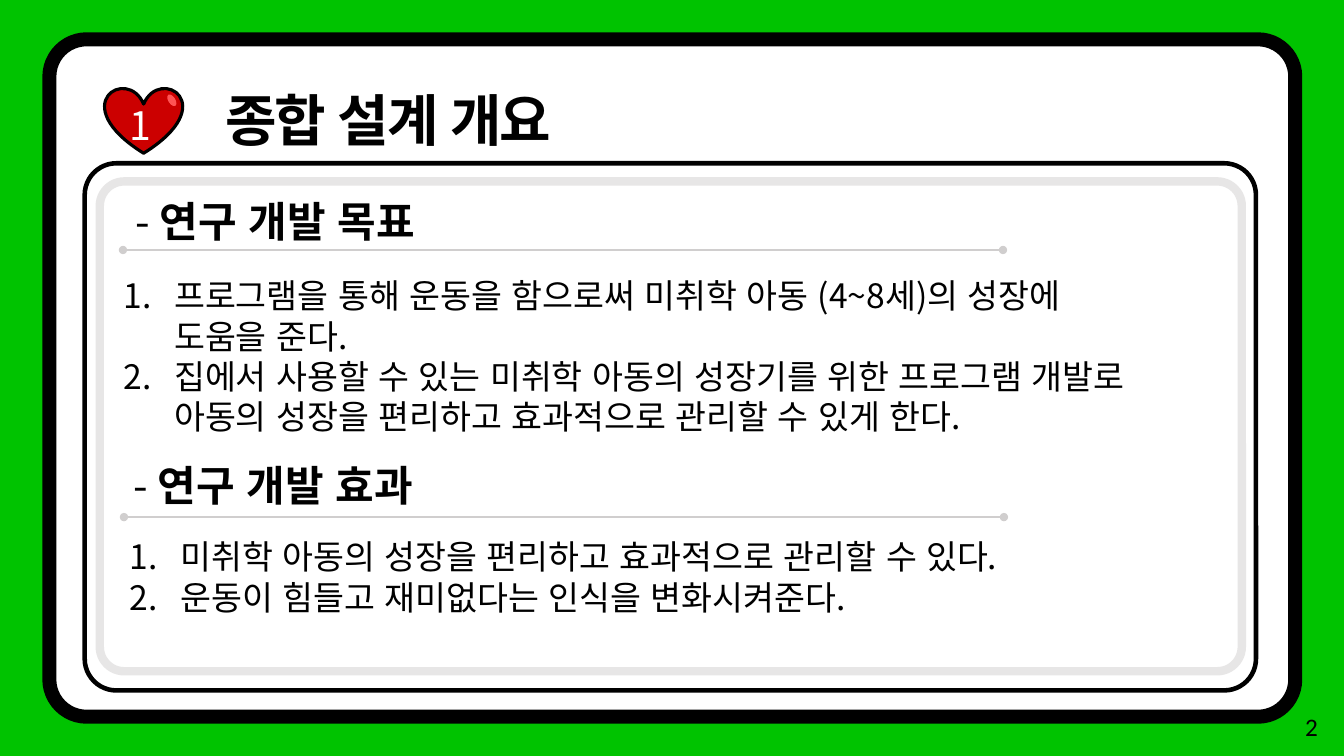
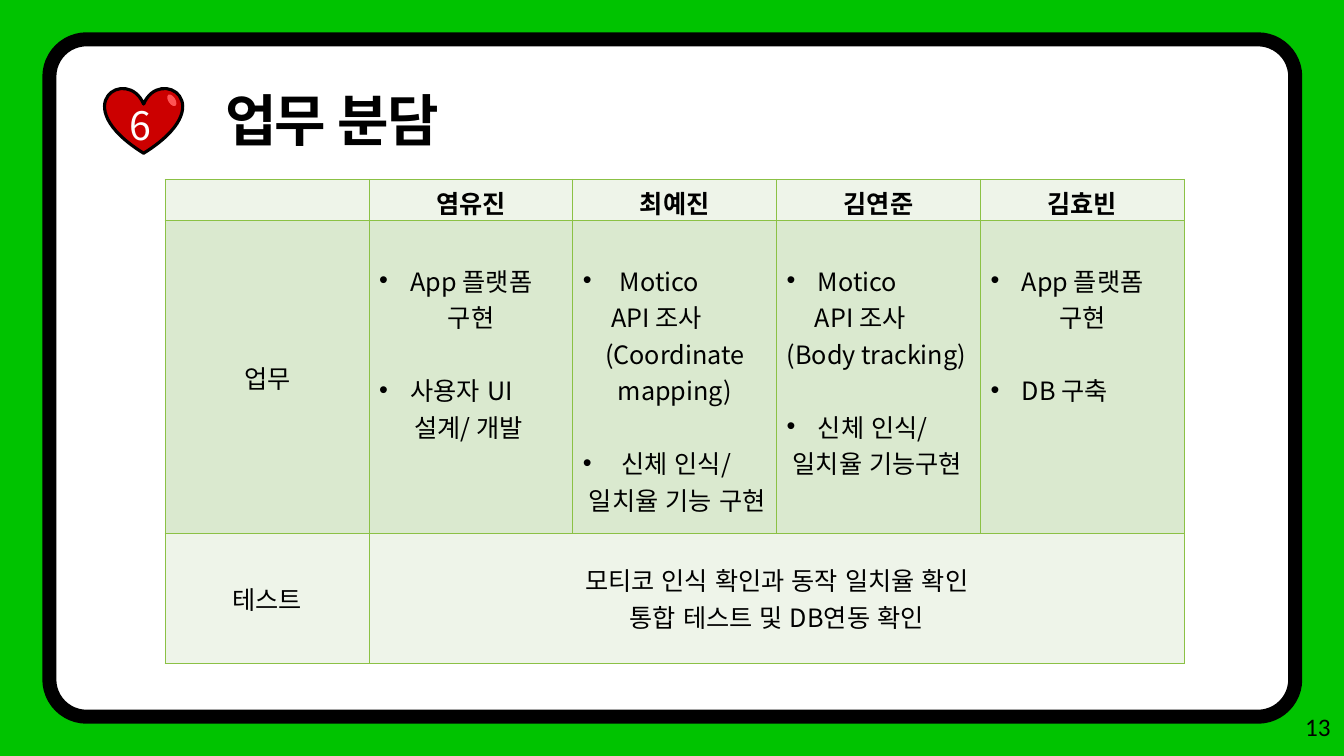
from pptx import Presentation
from pptx.dml.color import RGBColor
from pptx.enum.lang import MSO_LANGUAGE_ID as LANG
from pptx.enum.shapes import MSO_CONNECTOR as CONN, MSO_SHAPE as SHAPE
from pptx.enum.text import MSO_ANCHOR as ANCHOR, PP_ALIGN as ALIGN
from pptx.oxml.ns import qn
from pptx.util import Inches, Pt
from lxml.etree import SubElement

COLORS = {
    "green": "00C300", "white": "FFFFFF", "black": "000000",
    "gray": "E7E6E6", "rule": "D0CECE",
    "heart": "CC0000", "shine": "FF5454",
    "cell": "EEF4E9", "cell_dark": "DAE9CF", "border": "8BC145",
}
FONT = "Noto Sans CJK KR"
HANG = 0.31
GAP = 26  # one table line, in points

GOALS = [
    "프로그램을 통해 운동을 함으로써 미취학 아동 (4~8세)의 성장에\n도움을 준다.",
    "집에서 사용할 수 있는 미취학 아동의 성장기를 위한 프로그램 개발로\n"
    "아동의 성장을 편리하고 효과적으로 관리할 수 있게 한다.",
]
EFFECTS = [
    "미취학 아동의 성장을 편리하고 효과적으로 관리할 수 있다.",
    "운동이 힘들고 재미없다는 인식을 변화시켜준다.",
]
BULLET = dict(bullet="•", indent=HANG)
NEXT_BULLET = dict(BULLET, before=GAP)
CENTER = dict(align=ALIGN.CENTER)
DUTIES = {
    "염유진": [("App 플랫폼", BULLET), ("구현", CENTER),
            ("사용자 UI", NEXT_BULLET), ("설계/ 개발", dict(indent=0.35))],
    "최예진": [(" Motico", BULLET), ("API 조사", dict(indent=0.28)),
            ("(Coordinate mapping)", CENTER),
            (" 신체 인식/", NEXT_BULLET), ("일치율 기능 구현", dict(indent=0.06))],
    "김연준": [("Motico", BULLET), ("API 조사", dict(indent=0.28)),
            ("(Body tracking)", {}),
            ("신체 인식/", NEXT_BULLET), ("일치율 기능구현", dict(indent=0.06))],
    "김효빈": [("App 플랫폼", BULLET), ("구현", CENTER), ("DB 구축", NEXT_BULLET)],
}
TESTS = ["모티코 인식 확인과 동작 일치율 확인", "통합 테스트 및 DB연동 확인"]


def rgb(name):
    return RGBColor.from_string(COLORS[name])


def box(*lengths):
    return [Inches(v) for v in lengths]


def add_run(p, text, size=18, color="black", bold=False, font=FONT, spacing=0):
    """Add text to a paragraph; a newline becomes a line break."""
    for i, line in enumerate(text.split("\n")):
        if i:
            p.add_line_break()
        r = p.add_run()
        r.text = line
        r.font.size = Pt(size)
        r.font.bold = bold
        r.font.color.rgb = rgb(color)
        r.font.name = font
        r.font.language_id = LANG.KOREAN
        rPr = r.font._element
        SubElement(rPr, qn("a:ea"), typeface=font)
        if spacing:
            rPr.set("spc", str(int(spacing * 100)))


def add_paragraph(tf, text, align=None, bullet=None, number=False, indent=0,
                  before=0, **style):
    """Fill the frame's first paragraph if it is free, otherwise add one."""
    first = tf.paragraphs[0]
    p = tf.add_paragraph() if first.runs else first
    p.alignment = align
    if before:
        p.space_before = Pt(before)
    pPr = p._p.get_or_add_pPr()
    if indent:
        pPr.set("marL", str(Inches(indent)))
    if bullet or number:
        pPr.set("indent", str(-Inches(indent)))
    if bullet:
        SubElement(pPr, qn("a:buFont"), typeface="Arial")
        SubElement(pPr, qn("a:buChar"), char=bullet)
    elif number:
        SubElement(pPr, qn("a:buAutoNum"), type="arabicPeriod")
    add_run(p, text, **style)
    return p


def add_text_frame(shapes, at):
    tf = shapes.add_textbox(*box(*at)).text_frame
    tf.word_wrap = True
    return tf


def add_text(shapes, at, text, **style):
    return add_paragraph(add_text_frame(shapes, at), text, **style)


def add_shape(shapes, kind, at, fill=None, line=None, width=1, radius=None):
    sp = shapes.add_shape(kind, *box(*at))
    sp.shadow.inherit = False
    if fill:
        sp.fill.solid()
        sp.fill.fore_color.rgb = rgb(fill)
    else:
        sp.fill.background()
    if line:
        sp.line.color.rgb = rgb(line)
        sp.line.width = Pt(width)
    else:
        sp.line.fill.background()
    if radius is not None:
        sp.adjustments[0] = radius
    return sp


def add_heart(s, number):
    shapes = s.shapes.add_group_shape().shapes
    add_shape(shapes, SHAPE.HEART, (1.04, 0.87, 0.77, 0.65), "heart", "black", 2.25)
    add_text(shapes, (1.19, 0.96, 0.42, 0.57), number, size=28, color="white",
             spacing=-1.5)
    shine = add_shape(shapes, SHAPE.OVAL, (1.67, 0.93, 0.07, 0.13), "shine")
    shine.rotation = 327.4


def add_slide(prs, number, title, page):
    """Add a slide with the card, numbered heart, title and page number."""
    s = prs.slides.add_slide(prs.slide_layouts[6])
    s.background.fill.solid()
    s.background.fill.fore_color.rgb = rgb("green")
    add_shape(s.shapes, SHAPE.ROUNDED_RECTANGLE, (0.49, 0.39, 12.36, 6.72),
              "white", "black", 10, 0.055)
    add_heart(s, number)
    add_text(s.shapes, (2.14, 0.8, 6.16, 0.77), title, size=40, bold=True,
             spacing=-1.5)
    add_text(s.shapes, (12.85, 7.01, 0.49, 0.4), page, font="Calibri")
    return s


def add_content_frame(s):
    shapes = s.shapes.add_group_shape().shapes
    add_shape(shapes, SHAPE.ROUNDED_RECTANGLE, (0.84, 1.62, 11.62, 5.23),
              "white", "black", 3.25, 0.06)
    add_shape(shapes, SHAPE.ROUNDED_RECTANGLE, (0.99, 1.8, 11.33, 4.86),
              None, "gray", 6, 0.05)


def add_rule(s, x, y, length):
    c = s.shapes.add_connector(CONN.STRAIGHT, *box(x, y, x + length, y))
    c.line.color.rgb = rgb("rule")
    c.line.width = Pt(1.25)
    ln = c.line._get_or_add_ln()
    for end in ("a:headEnd", "a:tailEnd"):
        SubElement(ln, qn(end), type="oval")
    SubElement(c._element.spPr, qn("a:effectLst"))


def add_section(s, heading, heading_at, rule_at, items, items_at):
    """Add a heading, the rule under it and a numbered list."""
    p = add_text(s.shapes, heading_at, "- ", size=30)
    add_run(p, heading, size=30, bold=True)
    add_rule(s, *rule_at, 8.73)
    tf = add_text_frame(s.shapes, items_at)
    for item in items:
        add_paragraph(tf, item, size=24, number=True, indent=0.5)


def style_cell(cell, fill):
    cell.fill.solid()
    cell.fill.fore_color.rgb = rgb(fill)
    tcPr = cell._tc.get_or_add_tcPr()
    for i, side in enumerate("LRTB"):
        ln = SubElement(tcPr, qn("a:ln" + side), w=str(Pt(1)))
        color = SubElement(SubElement(ln, qn("a:solidFill")), qn("a:srgbClr"))
        color.set("val", COLORS["border"])
        tcPr.insert(i, ln)


def fill_cell(cell, paragraphs, anchor=ANCHOR.MIDDLE, **style):
    cell.vertical_anchor = anchor
    for text, extra in paragraphs:
        add_paragraph(cell.text_frame, text, **extra, **style)


def add_duty_table(s):
    heights = (0.41, 3.1, 1.29)
    fills = ("cell", "cell_dark", "cell")
    columns = len(DUTIES) + 1
    frame = s.shapes.add_table(len(heights), columns, *box(1.64, 1.78, 10.11, sum(heights)))
    table = frame.table
    table.horz_banding = False
    for row, height, fill in zip(table.rows, heights, fills):
        row.height = Inches(height)
        for cell in row.cells:
            style_cell(cell, fill)
    for cell in table.rows[0].cells:
        cell.margin_top = Inches(0.04)
        cell.margin_bottom = 0
    for col, (name, duties) in enumerate(DUTIES.items(), 1):
        fill_cell(table.cell(0, col), [(name, CENTER)], bold=True)
        duty = table.cell(1, col)
        duty.margin_top = Inches(0.41)
        fill_cell(duty, duties, ANCHOR.TOP)
    for row, label in enumerate(("업무", "테스트"), 1):
        fill_cell(table.cell(row, 0), [(label, CENTER)])
    test = table.cell(2, 1)
    test.merge(table.cell(2, columns - 1))
    fill_cell(test, [(line, CENTER) for line in TESTS])


def add_overview_slide(prs):
    s = add_slide(prs, "1", "종합 설계 개요", "2")
    add_content_frame(s)
    add_section(s, "연구 개발 목표", (1.25, 1.89, 6.38, 0.61), (1.22, 2.48),
                GOALS, (1.13, 2.68, 11.07, 2.12))
    add_section(s, "연구 개발 효과", (1.23, 4.51, 6.38, 0.61), (1.23, 5.13),
                EFFECTS, (1.19, 5.27, 9.87, 1.72))


def add_duty_slide(prs):
    s = add_slide(prs, "6", "업무 분담", "13")
    add_duty_table(s)


def main():
    prs = Presentation()
    prs.slide_width, prs.slide_height = box(40 / 3, 7.5)
    add_overview_slide(prs)
    add_duty_slide(prs)
    prs.save("out.pptx")


if __name__ == "__main__":
    main()
